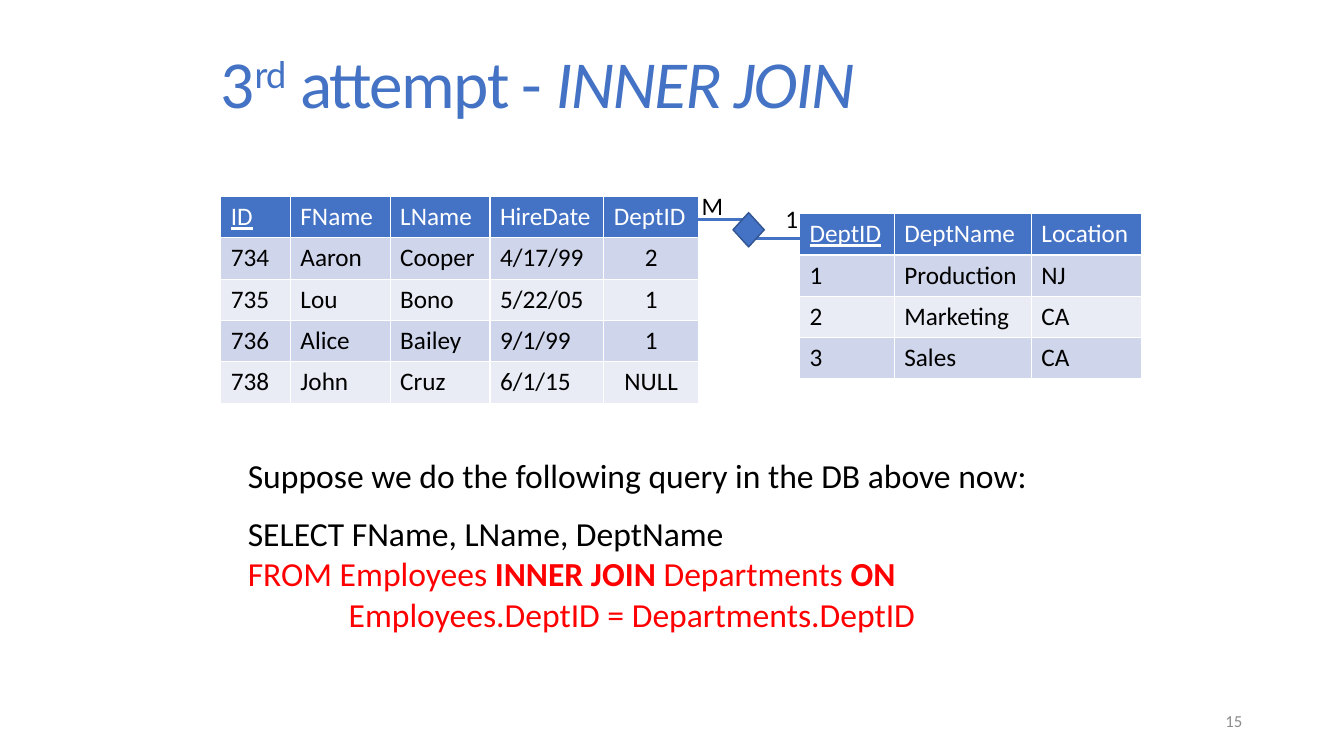
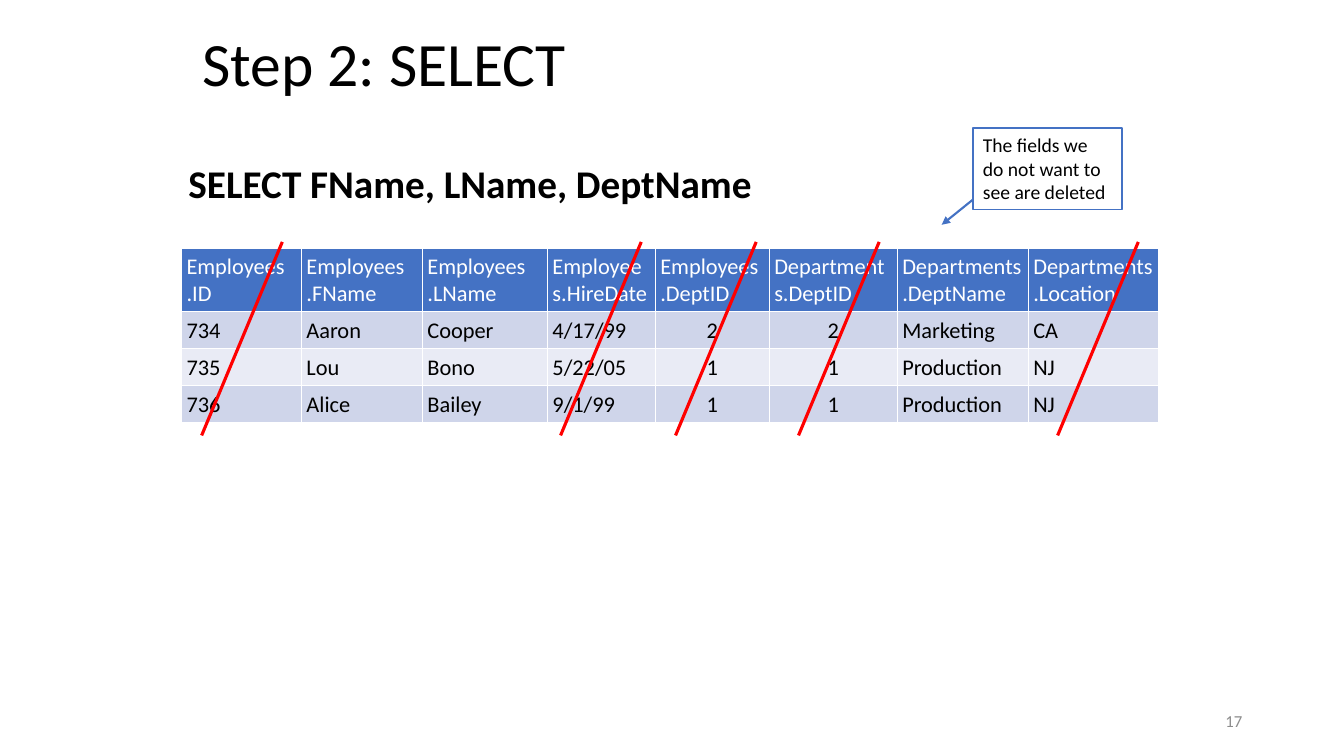
from itertools import accumulate

from lxml import etree
from pptx import Presentation
from pptx import util as u
from pptx.dml.color import RGBColor
from pptx.enum import shapes, text
from pptx.oxml import ns

PX = 9144  # 100 px to the inch
FONT = "Calibri"
BLUE, EDGE, RED = "4472C4", "325491", "FF0000"
BLACK, WHITE, GRAY = "000000", "FFFFFF", "8C8C8C"
BANDS = "CFD5EA", "E9EBF5"
ALIGN = text.PP_ALIGN
TOP, MID = text.MSO_ANCHOR.TOP, text.MSO_ANCHOR.MIDDLE


def emu(*nums):
    return [u.Emu(n * PX) for n in nums]


def color(code):
    return RGBColor.from_string(code)


def add_run(para, words, size, tone=BLACK, bold=False, ital=False,
            under=False, base=0, track=0):
    """Add one run; base is the raise in percent, track the spacing in 1/100 pt."""
    run = para.add_run()
    run.text = words
    font = run.font
    font.name, font.size = FONT, u.Pt(size)
    font.bold, font.italic, font.underline = bold, ital, under
    font.color.rgb = color(tone)
    props = run._r.get_or_add_rPr()
    if base:
        props.set("baseline", str(base * 1000))
    if track:
        props.set("spc", str(track))


def add_text(slide, box, runs, size, align=ALIGN.LEFT, anchor=TOP, lead=None):
    """Add a text box with one paragraph of (words, style) runs."""
    frame = slide.shapes.add_textbox(*emu(*box)).text_frame
    frame.word_wrap = True
    frame.vertical_anchor = anchor
    para = frame.paragraphs[0]
    para.alignment, para.line_spacing = align, lead
    for words, style in runs:
        add_run(para, words, size, **style)
    return frame


def add_title(slide, box, runs, size):
    add_text(slide, box, runs, size, anchor=MID, lead=0.9)


def add_page(slide, num):
    add_text(slide, (942, 695, 300, 40), [(num, {"tone": GRAY})], 12,
             ALIGN.RIGHT, MID)


def add_shape(slide, kind, box, fill, edge):
    shape = slide.shapes.add_shape(kind, *emu(*box))
    shape.shadow.inherit = False
    shape.fill.solid()
    shape.fill.fore_color.rgb = color(fill)
    shape.line.color.rgb = color(edge)
    shape.line.width = u.Pt(1)
    return shape


def add_line(slide, ends, tone, width, kind=shapes.MSO_CONNECTOR.STRAIGHT,
             arrow=False):
    line = slide.shapes.add_connector(kind, *emu(*ends))
    line.line.color.rgb = color(tone)
    line.line.width = u.Pt(width)
    if arrow:
        tail = etree.SubElement(line.line._get_or_add_ln(), ns.qn("a:tailEnd"))
        tail.set("type", "triangle")
    etree.SubElement(line._element.spPr, ns.qn("a:effectLst"))


def add_grid(slide, spot, cols, highs, rows, size=18, mid=(), key=None, pad=None):
    """Add a banded table; mid lists centred columns, key the underlined head."""
    box = *spot, sum(cols), sum(highs)
    grid = slide.shapes.add_table(len(rows), len(cols), *emu(*box)).table
    for col, wide in zip(grid.columns, emu(*cols)):
        col.width = wide
    for i, (row, high) in enumerate(zip(rows, emu(*highs))):
        grid.rows[i].height = high
        for j, words in enumerate(row):
            cell = grid.cell(i, j)
            cell.fill.solid()
            cell.fill.fore_color.rgb = color(BANDS[(i - 1) % 2] if i else BLUE)
            if pad:
                (cell.margin_left, cell.margin_top, cell.margin_right,
                 cell.margin_bottom) = emu(pad, pad, pad, pad)
            frame = cell.text_frame
            for n, part in enumerate(words.split("\n")):
                para = frame.add_paragraph() if n else frame.paragraphs[0]
                if i and j in mid:
                    para.alignment = ALIGN.CENTER
                add_run(para, part, size, BLACK if i else WHITE,
                        under=i == 0 and j == key)


def add_link(slide, box):
    """Many-to-one link between two tables."""
    x, y, w, h = box
    add_line(slide, (x, y, x + w, y + h), BLUE, 2.25, shapes.MSO_CONNECTOR.ELBOW)
    for mark, left, top in ("1", x + 78, y - 21), ("M", x - 5, y - 34):
        add_text(slide, (left, top, 96, 40), [(mark, {})], 18)
    add_shape(slide, shapes.MSO_SHAPE.DIAMOND, (x + 36, y - 7, 31, 34), BLUE, EDGE)


def add_query(slide, box):
    red, bold = {"tone": RED}, {"tone": RED, "bold": True}
    frame = add_text(slide, box, [
        ("Suppose we do the following query in the DB above now:", {})], 24)
    lines = [
        (13, 0, [("SELECT FName, LName, DeptName", {})]),
        (0, 0, [("FROM Employees ", red), ("INNER JOIN ", bold),
                ("Departments ", red), ("ON", bold)]),
        (0, 100, [("Employees.DeptID = Departments.DeptID", red)]),
    ]
    for gap, dent, runs in lines:
        para = frame.add_paragraph()
        para.space_before = u.Pt(gap)
        para._p.get_or_add_pPr().set("marL", str(dent * PX))
        for words, style in runs:
            add_run(para, words, 24, **style)


def add_note(slide, box):
    """Callout with an arrow toward the table."""
    x, y, w, h = box
    note = add_shape(slide, shapes.MSO_SHAPE.RECTANGLE, box, WHITE, BLUE)
    frame = note.text_frame
    frame.word_wrap = True
    frame.vertical_anchor = TOP
    para = frame.paragraphs[0]
    para.alignment = ALIGN.LEFT
    add_run(para, "The fields we do not want to see are deleted", 14)
    add_line(slide, (x, y + 71, x - 31, y + 96), BLUE, 1.5, arrow=True)


def add_cuts(slide, spot, cols, cuts):
    """Strike out columns; cuts maps a column to the inset of its stroke."""
    x, y = spot
    lefts = list(accumulate(cols, initial=x))
    for col, dent in cuts.items():
        left = lefts[col] + dent
        add_line(slide, (left, y + 186, left + 80, y - 6), RED, 2.25)


def join_slide(slide):
    tone = {"tone": BLUE, "track": -120}
    add_grid(slide, (219, 195), (69, 99, 99, 113, 94), [41] * 5, [
        ("ID", "FName", "LName", "HireDate", "DeptID"),
        ("734", "Aaron", "Cooper", "4/17/99", "2"),
        ("735", "Lou", "Bono", "5/22/05", "1"),
        ("736", "Alice", "Bailey", "9/1/99", "1"),
        ("738", "John", "Cruz", "6/1/15", "NULL"),
    ], mid=(4,), key=0)
    add_grid(slide, (793, 212), (94, 136, 109), [41] * 4, [
        ("DeptID", "DeptName", "Location"),
        ("1", "Production", "NJ"),
        ("2", "Marketing", "CA"),
        ("3", "Sales", "CA"),
    ], key=0)
    add_link(slide, (691, 218, 104, 19))
    add_query(slide, (236, 446, 886, 189))
    add_title(slide, (209, 18, 924, 137), [
        ("3", tone), ("rd", {**tone, "base": 30}), (" attempt - ", tone),
        ("INNER JOIN", {**tone, "ital": True})], 48)
    add_page(slide, "15")


def step_slide(slide):
    spot, cols = (180, 246), (119, 120, 124, 107, 113, 127, 130, 129)
    add_title(slide, (191, 20, 958, 92), [("Step 2: SELECT", {})], 44)
    add_page(slide, "17")
    add_grid(slide, spot, cols, (41, 33, 33, 33), [
        ("Employees\n.ID", "Employees\n.FName", "Employees\n.LName",
         "Employees.HireDate", "Employees\n.DeptID", "Departments.DeptID",
         "Departments.DeptName", "Departments.Location"),
        ("734", "Aaron", "Cooper", "4/17/99", "2", "2", "Marketing", "CA"),
        ("735", "Lou", "Bono", "5/22/05", "1", "1", "Production", "NJ"),
        ("736", "Alice", "Bailey", "9/1/99", "1", "1", "Production", "NJ"),
    ], 16, mid=(4, 5), pad=5)
    add_text(slide, (177, 153, 861, 57),
             [("SELECT FName, LName, DeptName", {"bold": True})], 28)
    add_note(slide, (965, 127, 148, 81))
    add_cuts(slide, spot, cols, {0: 20, 3: 13, 4: 20, 5: 29, 7: 29})


def main():
    deck = Presentation()
    deck.slide_width, deck.slide_height = emu(1333, 750)
    for draw in join_slide, step_slide:
        draw(deck.slides.add_slide(deck.slide_layouts[6]))
    deck.save("out.pptx")


if __name__ == "__main__":
    main()
